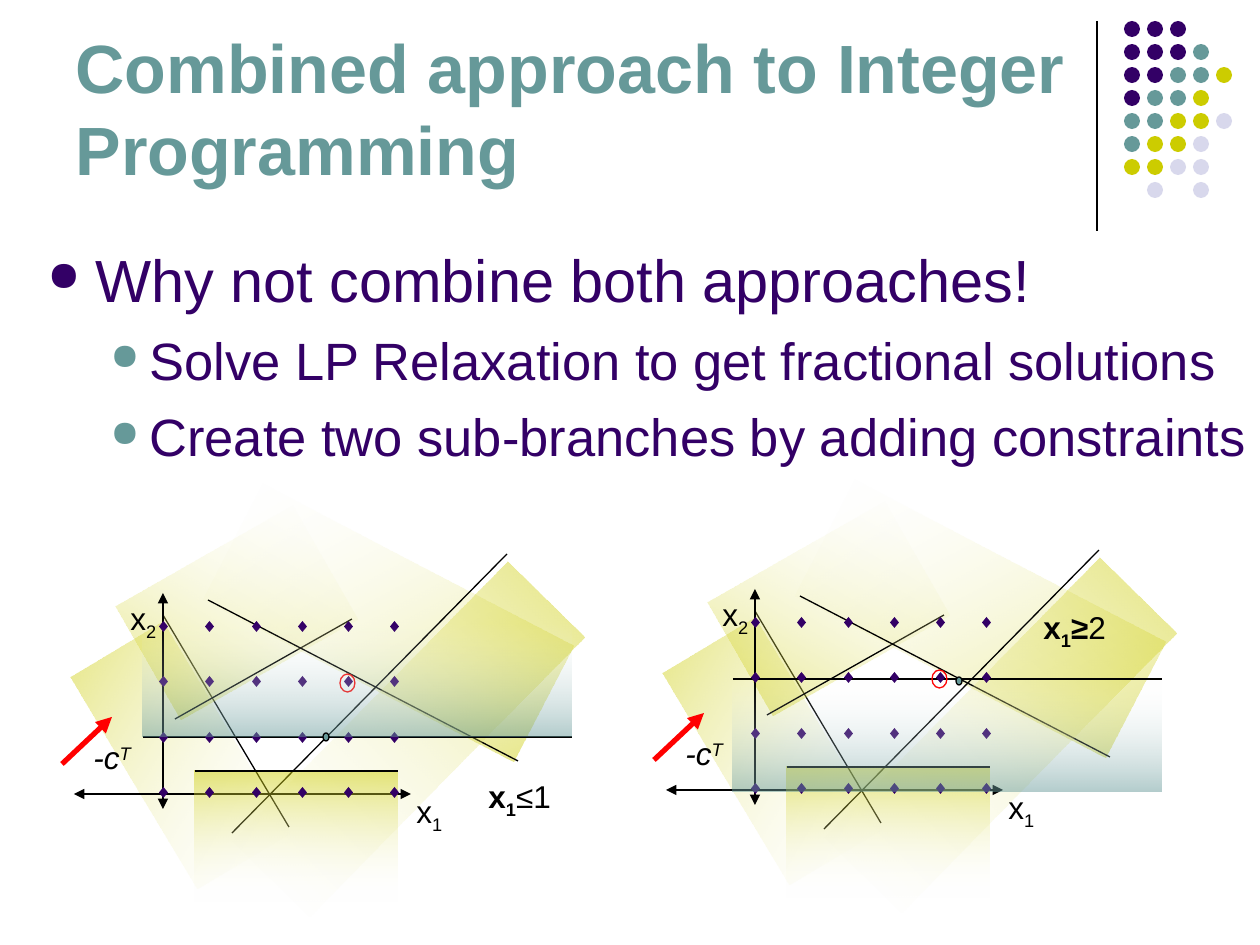
import pptx
import pptx.util
import pptx.dml.color
import pptx.enum.shapes
import pptx.enum.text
import pptx.oxml.ns
from lxml import etree

PX = 914400 / 126
COLORS = {"purple": "330066", "teal": "669999", "olive": "CCCC00", "pale": "D8D8EC",
          "black": "000000", "red": "FF0000", "white": "FEFEFE"}
MSO = pptx.enum.shapes.MSO_SHAPE
qn = pptx.oxml.ns.qn


def add_text(p, text, size=18, color="black", bold=False, italic=False, base=0):
    r = p.add_run()
    r.text = text
    f = r.font
    f.name, f.size, f.bold, f.italic = "Arial", pptx.util.Pt(size), bold, italic
    f.color.rgb = pptx.dml.color.RGBColor.from_string(COLORS[color])
    if base:
        r._r.get_or_add_rPr().set("baseline", str(base * 1000))


def add_shape(kind, box, fill=None, line=None, stops=None, angle=0, rotation=0):
    sp = s.shapes.add_shape(kind, *[round(v * PX) for v in box])
    sp.shadow.inherit = False
    sp.rotation = rotation
    if stops:
        sp.fill.gradient()
        sp.fill.gradient_angle = (rotation - angle) % 360
        for stop, (color, alpha) in zip(sp.fill.gradient_stops, stops):
            stop.color.rgb = pptx.dml.color.RGBColor.from_string(COLORS[color])
        for clr, (color, alpha) in zip(sp._element.spPr.iter(qn("a:srgbClr")), stops):
            etree.SubElement(clr, qn("a:alpha")).set("val", str(alpha * 1000))
    elif fill:
        sp.fill.solid()
        sp.fill.fore_color.rgb = pptx.dml.color.RGBColor.from_string(COLORS[fill])
    else:
        sp.fill.background()
    if line:
        sp.line.color.rgb = pptx.dml.color.RGBColor.from_string(COLORS[line])
        sp.line.width = pptx.util.Pt(0.75)
    else:
        sp.line.fill.background()


prs = pptx.Presentation()
prs.slide_width, prs.slide_height = round(1260 * PX), round(945 * PX)
s = prs.slides.add_slide(prs.slide_layouts[5])

title = s.shapes.title
title.left, title.top, title.width, title.height = [round(v * PX) for v in (63, 16, 1040, 179)]
tf = title.text_frame
tf.word_wrap = True
tf.auto_size = pptx.enum.text.MSO_AUTO_SIZE.NONE
tf.vertical_anchor = pptx.enum.text.MSO_ANCHOR.BOTTOM
tf.paragraphs[0].alignment = pptx.enum.text.PP_ALIGN.LEFT
add_text(tf.paragraphs[0], "Combined approach to Integer Programming", size=39, color="teal", bold=True)

dot_colors = {"p": "purple", "t": "teal", "o": "olive", "l": "pale"}
dot_rows = ["ppp", "pppt", "pptto", "ptto", "ttool", "tool", "ooll", " l l"]
for row, codes in enumerate(dot_rows):
    for col, code in enumerate(codes):
        if code in dot_colors:
            add_shape(MSO.OVAL, (1124 + 23 * col, 21 + 23 * row, 16, 16), fill=dot_colors[code])

YELLOW_FADE = [("olive", 50), ("white", 0)]
TEAL_FADE = [("white", 0), ("teal", 50)]
BOTH = ("headEnd", "tailEnd")
TAIL = ("tailEnd",)

layers = [
    (None, 0, 0, (1097, 21, 1097, 231), "black", 0.75, ()),
]
for dx, dy, cut_y, shade_y, vertex in [(0, 0, 737, 624, (323, 733)), (592, -4, 679, 679, (956, 677))]:
    layers += [
        ((57 + dx, 701 + dy, 246, 108), 59, 31, (163 + dx, 615 + dy, 289 + dx, 827 + dy), "black", 0.75, ()),
        ((135 + dx, 547 + dy, 203, 131), 150.3, 300, (352 + dx, 619 + dy, 175 + dx, 719 + dy), "black", 0.75, ()),
        ((213 + dx, 557 + dy, 350, 131), 207.5, 242, (518 + dx, 761 + dy, 208 + dx, 600 + dy), "black", 0.75, ()),
        ((213 + dx, 685 + dy, 391, 108), 314.5, 136, (232 + dx, 833 + dy, 507 + dx, 554 + dy), "black", 0.75, ()),
        (None, 0, 0, (62 + dx, 764 + dy, 112 + dx, 717 + dy), "red", 3, TAIL),
        (None, 0, 0, (163 + dx, 593 + dy, 163 + dx, 809 + dy), "black", 0.75, BOTH),
        (None, 0, 0, (74 + dx, 794 + dy, 411 + dx, 794 + dy), "black", 0.75, BOTH),
        ((195 + dx, 771 + dy, 203, 131), 0, 90, (195 + dx, 771 + dy, 398 + dx, 771 + dy), "black", 0.75, ()),
        (None, 0, 0, (143 + dx - dx // 296, cut_y, 572 + dx - dx // 296, cut_y), "black", 0.75, ()),
    ]
    for band, rotation, angle, ends, color, width, arrows in layers:
        if band:
            add_shape(MSO.RECTANGLE, band, stops=YELLOW_FADE, angle=angle, rotation=rotation)
        c = s.shapes.add_connector(pptx.enum.shapes.MSO_CONNECTOR.STRAIGHT, *[round(v * PX) for v in ends])
        c.line.color.rgb = pptx.dml.color.RGBColor.from_string(COLORS[color])
        c.line.width = pptx.util.Pt(width)
        for end in arrows:
            etree.SubElement(c.line._get_or_add_ln(), qn("a:" + end)).set("type", "triangle")
        etree.SubElement(c._element.spPr, qn("a:effectLst"))
    layers = []

    for row in range(4):
        for col in range(6):
            dot = (round(159 + 46.3 * col) + dx, round(787 - 55.4 * row) + dy, 9, 11)
            add_shape(MSO.DIAMOND, dot, fill="purple")
    add_shape(MSO.OVAL, (340 + dx, 674 + dy, 15, 18), line="red")
    add_shape(MSO.RECTANGLE, (143 + dx - dx // 296, shade_y, 429, 113), stops=TEAL_FADE, angle=90)
    add_shape(MSO.OVAL, (*vertex, 6, 8), fill="teal", line="black")

plain, bold, italic = {}, {"bold": True}, {"italic": True}
sub = {"base": -25}
labels = [((476, 771, 140, 55), [("x", bold), ("1", bold | sub), ("≤1", plain)]),
          ((1031, 602, 140, 55), [("x", bold), ("1", bold | sub), ("≥", bold), ("2", plain)])]
for dx, dy in [(0, 0), (592, -4)]:
    labels += [((81 + dx, 732 + dy, 96, 50), [("-c", italic), ("T", italic | {"base": 30})]),
               ((404 + dx, 786 + dy, 64, 55), [("x", plain), ("1", sub)]),
               ((118 + dx, 593 + dy, 67, 55), [("x", plain), ("2", sub)])]
for box, runs in labels:
    tf = s.shapes.add_textbox(*[round(v * PX) for v in box]).text_frame
    tf.word_wrap = True
    for text, fmt in runs:
        add_text(tf.paragraphs[0], text, **fmt)

tf = s.shapes.add_textbox(*[round(v * PX) for v in (35, 237, 1258, 607)]).text_frame
tf.word_wrap = True
bullets = [("Why not combine both approaches!", 0, 34, "purple", 48, 48, 0),
           ("Solve LP Relaxation to get fractional solutions", 1, 30, "teal", 102, 39, 7.5),
           ("Create two sub-branches by adding constraints", 1, 30, "teal", 102, 39, 7.5)]
for i, (text, level, size, color, margin, hang, before) in enumerate(bullets):
    p = tf.add_paragraph() if i else tf.paragraphs[0]
    p.level = level
    p.space_before = pptx.util.Pt(before)
    pPr = p._p.get_or_add_pPr()
    pPr.set("marL", str(round(margin * PX)))
    pPr.set("indent", str(-round(hang * PX)))
    etree.SubElement(etree.SubElement(pPr, qn("a:buClr")), qn("a:srgbClr")).set("val", COLORS[color])
    etree.SubElement(pPr, qn("a:buSzPct")).set("val", "70000")
    etree.SubElement(pPr, qn("a:buChar")).set("char", "●")
    add_text(p, text, size=size, color="purple")

prs.save("out.pptx")
